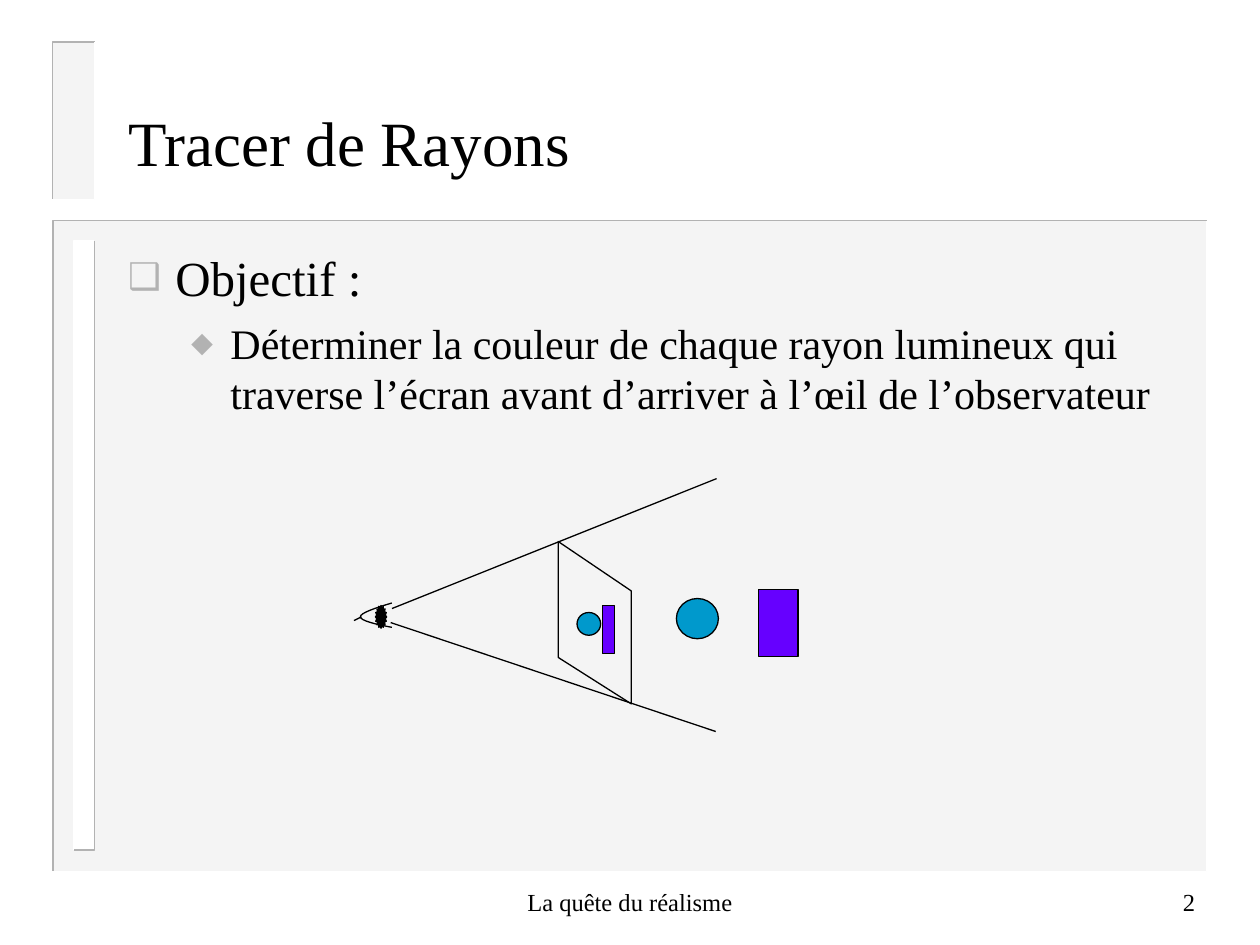
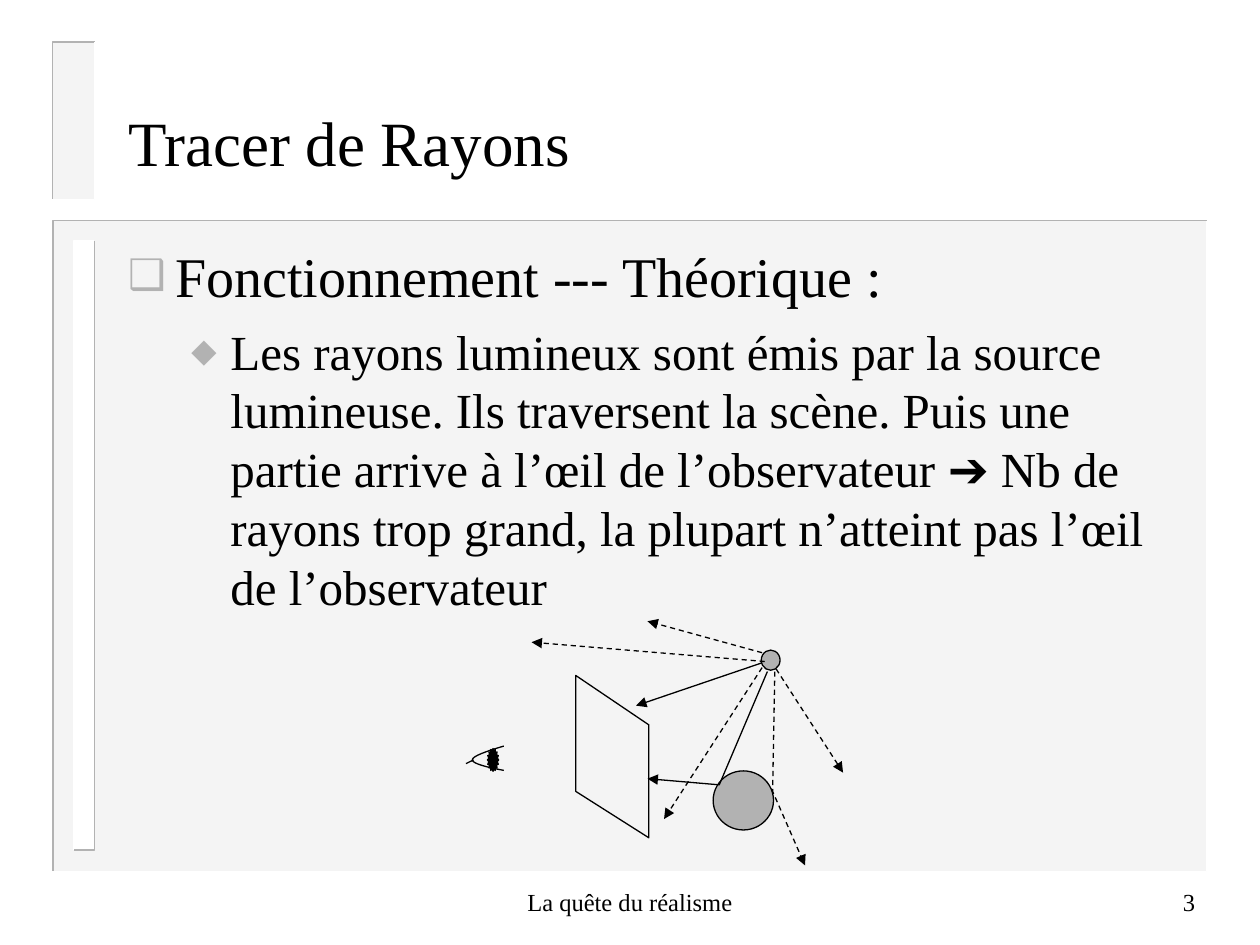
from dataclasses import dataclass
from typing import Optional

from lxml.etree import SubElement
from pptx import Presentation
from pptx.dml.color import RGBColor
from pptx.enum.dml import MSO_LINE
from pptx.enum.shapes import MSO_CONNECTOR, MSO_SHAPE
from pptx.enum.text import MSO_ANCHOR, MSO_AUTO_SIZE, PP_ALIGN
from pptx.oxml.ns import qn
from pptx.util import Pt

COLORS = {
    "ink": "000000",
    "panel": "EAEAEA",
    "edge": "B2B2B2",
    "paper": "FFFFFF",
    "ball": "0099CC",
    "block": "6600FF",
}
FONT = "Times New Roman"
ARROW_SIGN = "➔"
ARROW_FONT = "Arial"
TITLE = "Tracer de Rayons"
FOOTER = "La quête du réalisme"
Point = tuple[float, float]


@dataclass(frozen=True)
class Box:
    left: float
    top: float
    width: float
    height: float

    def lengths(self) -> list:
        return [Pt(v) for v in (self.left, self.top, self.width, self.height)]


@dataclass(frozen=True)
class Bevel:
    """Filled band with one colour up and left, another down and right."""
    box: Box
    fill: str
    upper_left: str
    lower_right: str
    alpha: int = 100


@dataclass(frozen=True)
class Solid:
    kind: MSO_SHAPE
    box: Box
    fill: str


@dataclass(frozen=True)
class Ray:
    points: list[Point]
    arrow: bool = False
    dashed: bool = False


@dataclass(frozen=True)
class ListLevel:
    bullet: str
    margin: float
    hanging: float


TITLE_BOX = Box(66, 48, 612, 66)
FOOTER_BOX = Box(246, 497.5, 228, 36)
NUMBER_BOX = Box(540, 497.5, 150, 36)
BEVELS = [
    Bevel(Box(30.5, 126, 659, 372), "panel", "edge", "paper", 50),
    Bevel(Box(42, 137.75, 12, 348), "paper", "paper", "edge"),
    Bevel(Box(30, 24, 24, 90), "panel", "edge", "paper", 50),
]
LEVELS = [ListLevel("❑", 27, 27), ListLevel("⬥", 58.5, 22.5)]

# Outlines relative to the screen corner and to the iris corner
SCREEN = [(0, 0), (41.75, 28.25), (41.75, 92.75), (0, 66.25)]
UPPER_LID = [(9.4, -1.4), (0, 1.4), (-8.6, 4.3), (-8.6, 6.5)]
LOWER_LID = [(-8.6, 6.5), (-8.6, 8.6), (0, 10.8), (9.4, 12.5)]
LASH = [(-7.9, 6.5), (-12.2, 8.6)]


def rgb(name: str) -> RGBColor:
    return RGBColor.from_string(COLORS[name])


def shift(points: list[Point], origin: Point) -> list[Point]:
    return [(x + origin[0], y + origin[1]) for x, y in points]


def bezier(controls: list[Point], steps: int = 8) -> list[Point]:
    curve = []
    for step in range(steps + 1):
        t = step / steps
        weights = ((1 - t) ** 3, 3 * t * (1 - t) ** 2, 3 * t * t * (1 - t), t ** 3)
        curve.append(tuple(sum(w * c[axis] for w, c in zip(weights, controls))
                           for axis in (0, 1)))
    return curve


# Drawing
def set_line(shape, color: str = "ink", width: float = 0.75,
             arrow: bool = False, dashed: bool = False) -> None:
    shape.line.color.rgb = rgb(color)
    shape.line.width = Pt(width)
    if dashed:
        shape.line.dash_style = MSO_LINE.DASH
    if arrow:
        line = shape.element.find(".//" + qn("a:ln"))
        SubElement(line, qn("a:tailEnd"), type="triangle")


def draw_path(slide, points: list[Point], closed: bool = False, **stroke):
    corners = [(Pt(x), Pt(y)) for x, y in points]
    builder = slide.shapes.build_freeform(*corners[0])
    builder.add_line_segments(corners[1:], close=closed)
    shape = builder.convert_to_shape()
    shape.fill.background()
    shape.shadow.inherit = False
    set_line(shape, **stroke)
    return shape


def draw_solid(slide, solid: Solid, outlined: bool = True):
    shape = slide.shapes.add_shape(solid.kind, *solid.box.lengths())
    shape.shadow.inherit = False
    shape.fill.solid()
    shape.fill.fore_color.rgb = rgb(solid.fill)
    if outlined:
        set_line(shape)
    else:
        shape.line.fill.background()
    return shape


def draw_ray(slide, ray: Ray) -> None:
    if len(ray.points) > 2:
        draw_path(slide, ray.points, arrow=ray.arrow, dashed=ray.dashed)
        return
    ends = [Pt(value) for point in ray.points for value in point]
    connector = slide.shapes.add_connector(MSO_CONNECTOR.STRAIGHT, *ends)
    set_line(connector, arrow=ray.arrow, dashed=ray.dashed)
    SubElement(connector.element.spPr, qn("a:effectLst"))


def draw_bevel(slide, bevel: Bevel) -> list:
    box = bevel.box
    right, bottom = box.left + box.width, box.top + box.height
    start, end = (right, box.top), (box.left, bottom)
    band = draw_solid(slide, Solid(MSO_SHAPE.RECTANGLE, box, bevel.fill), False)
    if bevel.alpha < 100:
        color = band.element.spPr.find(".//" + qn("a:srgbClr"))
        SubElement(color, qn("a:alpha"), val=str(bevel.alpha * 1000))
    return [
        band,
        draw_path(slide, [start, (box.left, box.top), end],
                  color=bevel.upper_left, width=1),
        draw_path(slide, [start, (right, bottom), end],
                  color=bevel.lower_right, width=1),
    ]


def draw_eye(slide, origin: Point) -> None:
    draw_solid(slide, Solid(MSO_SHAPE.STAR_16_POINT, Box(*origin, 6.5, 13), "ink"))
    lids = bezier(UPPER_LID) + bezier(LOWER_LID)[1:]
    draw_path(slide, shift(lids, origin))
    draw_ray(slide, Ray(shift(LASH, origin)))


def draw_screen(slide, origin: Point) -> None:
    draw_path(slide, shift(SCREEN, origin), closed=True)


# Text
def format_run(run, size: float, font: str = FONT) -> None:
    run.font.name = font
    run.font.size = Pt(size)
    run.font.color.rgb = rgb("ink")


def place(shape, box: Box, anchor: MSO_ANCHOR) -> None:
    shape.left, shape.top, shape.width, shape.height = box.lengths()
    frame = shape.text_frame
    frame.word_wrap = True
    frame.auto_size = MSO_AUTO_SIZE.NONE
    frame.vertical_anchor = anchor


def write_line(shape, text: str, size: float, align: PP_ALIGN) -> None:
    para = shape.text_frame.paragraphs[0]
    para.text = text
    para.alignment = align
    format_run(para.runs[0], size)


def write_item(para, level: int, text: str, size: float,
               space_before: Optional[float] = None) -> None:
    style = LEVELS[level]
    para.level = level
    para.space_before = Pt(space_before or 0)
    props = para._p.get_or_add_pPr()
    props.set("marL", str(Pt(style.margin)))
    props.set("indent", str(-Pt(style.hanging)))
    bullet_color = SubElement(props, qn("a:buClr"))
    SubElement(bullet_color, qn("a:srgbClr"), val=COLORS["edge"])
    SubElement(props, qn("a:buSzPct"), val="75000")
    SubElement(props, qn("a:buChar"), char=style.bullet)
    before, sign, after = text.partition(ARROW_SIGN)
    for part in filter(None, (before, sign, after)):
        run = para.add_run()
        run.text = part
        format_run(run, size, ARROW_FONT if part == ARROW_SIGN else FONT)


# Shared parts
def add_frame(layout, slide) -> None:
    """Draw the bands on a slide, then hand them to its layout."""
    bands = [shape for bevel in BEVELS for shape in draw_bevel(slide, bevel)]
    for index, shape in enumerate(bands):
        shape.element.find(".//" + qn("p:cNvPr")).set("id", str(100 + index))
        layout.shapes.element.insert(2 + index, shape.element)


def add_page(deck, number: int, body_box: Box, heading: str, detail: str,
             size: float, space_before: float):
    page = deck.slides.add_slide(deck.slide_layouts[1])
    place(page.shapes.title, TITLE_BOX, MSO_ANCHOR.MIDDLE)
    write_line(page.shapes.title, TITLE, 36, PP_ALIGN.LEFT)

    body = page.placeholders[1]
    place(body, body_box, MSO_ANCHOR.TOP)
    frame = body.text_frame
    write_item(frame.paragraphs[0], 0, heading, size)
    write_item(frame.add_paragraph(), 1, detail, size - 4, space_before)

    for box, text, align in ((FOOTER_BOX, FOOTER, PP_ALIGN.CENTER),
                             (NUMBER_BOX, str(number), PP_ALIGN.RIGHT)):
        label = page.shapes.add_textbox(*box.lengths())
        place(label, box, MSO_ANCHOR.MIDDLE)
        write_line(label, text, 14, align)
    return page


def build_goal(deck):
    page = add_page(
        deck, 2, Box(66, 138, 608, 324), "Objectif :",
        "Déterminer la couleur de chaque rayon lumineux qui traverse l’écran "
        "avant d’arriver à l’œil de l’observateur", 28, 6)
    for ray in (Ray([(224, 347.75), (409.5, 273.5)]),
                Ray([(223.25, 355.75), (409, 418)])):
        draw_ray(page, ray)
    draw_screen(page, (319, 309.5))
    for solid in (
        Solid(MSO_SHAPE.OVAL, Box(386.5, 342, 24, 23), "ball"),
        Solid(MSO_SHAPE.RECTANGLE, Box(433.5, 337, 22.5, 38), "block"),
        Solid(MSO_SHAPE.RECTANGLE, Box(344.25, 346, 7, 27.5), "block"),
        Solid(MSO_SHAPE.OVAL, Box(329.75, 350, 13.5, 13), "ball"),
    ):
        draw_solid(page, solid)
    draw_eye(page, (214.5, 346))
    return page


def build_theory(deck):
    page = add_page(
        deck, 3, Box(66, 134.5, 608, 357), "Fonctionnement --- Théorique :",
        "Les rayons lumineux sont émis par la source lumineuse. Ils traversent "
        "la scène. Puis une partie arrive à l’œil de l’observateur ➔ Nb de "
        "rayons trop grand, la plupart n’atteint pas l’œil de l’observateur", 32, 7)
    for box in (Box(407.5, 440.5, 34.5, 33.75), Box(435, 371.5, 10.75, 11.5)):
        draw_solid(page, Solid(MSO_SHAPE.OVAL, box, "edge"))
    draw_screen(page, (329, 386))
    draw_eye(page, (278.5, 427.75))

    seen = [[(435.5, 378.75), (363.5, 403.25)],
            [(438.5, 383.75), (411, 448.5), (370, 445)]]
    lost = [[(435.5, 373), (370, 355)],
            [(437, 378), (303.75, 367)],
            [(435.5, 381.5), (379.5, 468)],
            [(443.5, 382.25), (481.75, 441.5)],
            [(442.75, 383.75), (441.5, 452.25), (460, 494.5)]]
    for points in seen + lost:
        draw_ray(page, Ray(points, arrow=True, dashed=points in lost))
    return page


def main() -> None:
    deck = Presentation()
    deck.slide_width, deck.slide_height = Pt(720), Pt(540)
    goal = build_goal(deck)
    build_theory(deck)
    add_frame(deck.slide_layouts[1], goal)
    deck.save("out.pptx")


if __name__ == "__main__":
    main()
